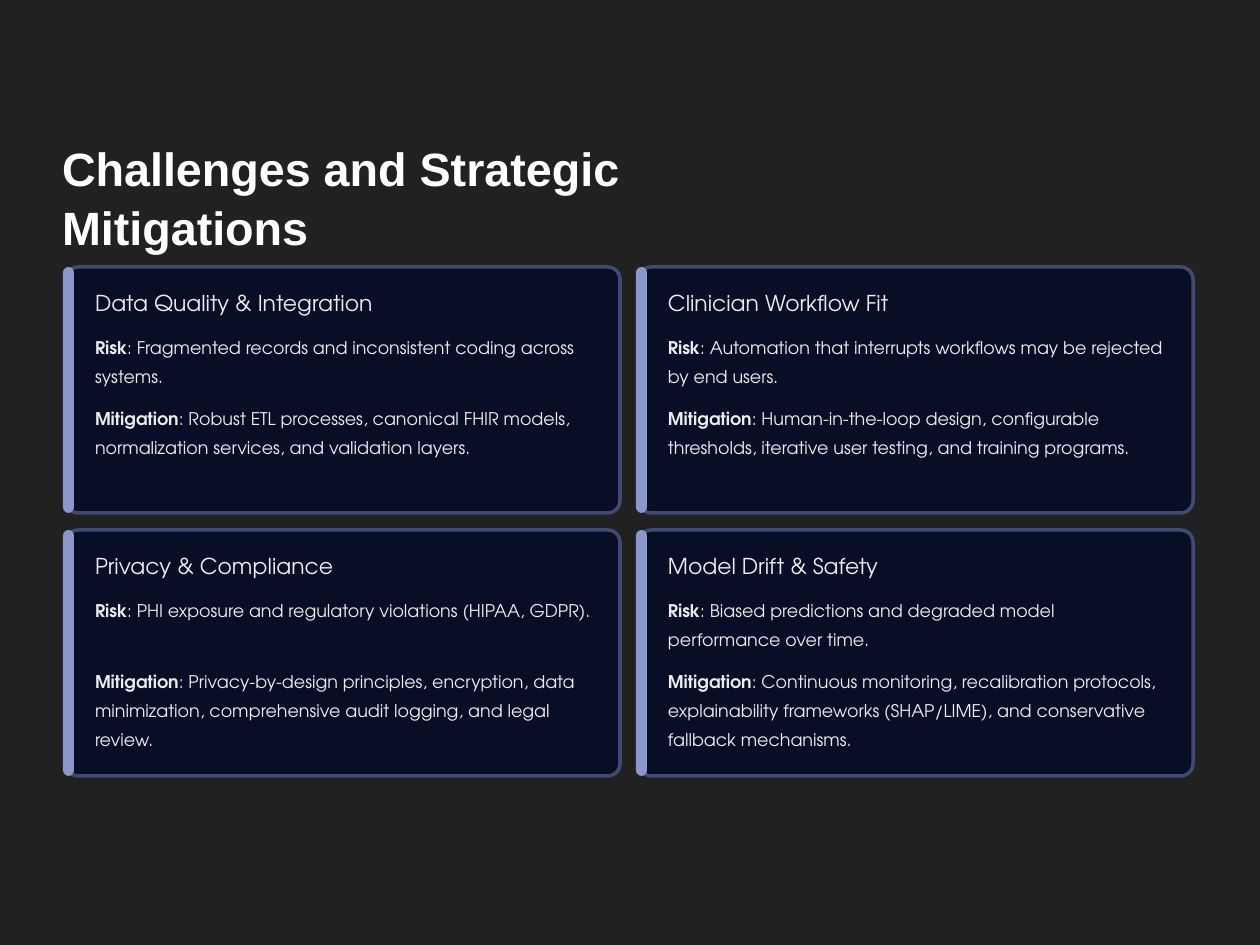
"""Build the slide on challenges and strategic mitigations."""
from pptx import Presentation
from pptx.dml.color import RGBColor
from pptx.enum.shapes import MSO_SHAPE
from pptx.enum.text import MSO_ANCHOR, MSO_AUTO_SIZE, PP_ALIGN
from pptx.util import Pt

PX = 914400 // 105
COLORS = {"bg": "212121", "title": "FFFFFF", "card": "080E26",
          "border": "414A70", "bar": "8C98CA", "text": "EBECEF"}
BODY_FONT = "TeX Gyre Adventor"
CARDS = [
    ("Data Quality & Integration",
     "Fragmented records and inconsistent coding across systems.",
     "Robust ETL processes, canonical FHIR models, normalization services, "
     "and validation layers."),
    ("Clinician Workflow Fit",
     "Automation that interrupts workflows may be rejected by end users.",
     "Human-in-the-loop design, configurable thresholds, iterative user "
     "testing, and training programs."),
    ("Privacy & Compliance",
     "PHI exposure and regulatory violations (HIPAA, GDPR).",
     "Privacy-by-design principles, encryption, data minimization, "
     "comprehensive audit logging, and legal review."),
    ("Model Drift & Safety",
     "Biased predictions and degraded model performance over time.",
     "Continuous monitoring, recalibration protocols, explainability "
     "frameworks (SHAP/LIME), and conservative fallback mechanisms."),
]


def write(sp, text, label="", size=12, spacing=20, font=BODY_FONT,
          color="text", bold=False, wrap=True):
    tf = sp.text_frame
    tf.margin_left = tf.margin_top = tf.margin_right = tf.margin_bottom = 0
    tf.word_wrap = wrap
    tf.auto_size = MSO_AUTO_SIZE.SHAPE_TO_FIT_TEXT
    tf.vertical_anchor = MSO_ANCHOR.TOP
    p = tf.paragraphs[0]
    p.alignment = PP_ALIGN.LEFT
    p.line_spacing = Pt(spacing)
    for part, strong in ((label, True), (text, bold)):
        if part:
            r = p.add_run()
            r.text = part
            r.font.name = font
            r.font.size = Pt(size)
            r.font.bold = strong
            r.font.color.rgb = RGBColor.from_string(COLORS[color])


def add_panel(s, x, y, w, h, fill, radius):
    sp = s.shapes.add_shape(MSO_SHAPE.ROUNDED_RECTANGLE,
                            x * PX, y * PX, w * PX, h * PX)
    sp.adjustments[0] = radius
    sp.shadow.inherit = False
    sp.fill.solid()
    sp.fill.fore_color.rgb = RGBColor.from_string(COLORS[fill])
    sp.line.fill.background()
    return sp


prs = Presentation()
prs.slide_width, prs.slide_height = 1260 * PX, 945 * PX
s = prs.slides.add_slide(prs.slide_layouts[5])
s.background.fill.solid()
s.background.fill.fore_color.rgb = RGBColor.from_string(COLORS["bg"])

title = s.shapes.title
title.left, title.top, title.width, title.height = 62 * PX, 138 * PX, 800 * PX, 117 * PX
write(title, "Challenges and Strategic Mitigations", size=32, spacing=40,
      font="Arial", color="title", bold=True)

for i, (heading, risk, mitigation) in enumerate(CARDS):
    row, col = divmod(i, 2)
    x, y = 63 + col * 573, 267 + row * 263
    card = add_panel(s, x + 3, y, 554, 246, "card", 0.05)
    card.line.color.rgb = RGBColor.from_string(COLORS["border"])
    card.line.width = Pt(2.4)
    add_panel(s, x, y, 11, 246, "bar", 0.5)
    for dy, h, text, style in (
            (21, 27, heading, {"size": 15, "spacing": 19, "wrap": False}),
            (62, 57, f": {risk}", {"label": "Risk"}),
            (133, 85, f": {mitigation}", {"label": "Mitigation"})):
        box = s.shapes.add_textbox((x + 32) * PX, (y + dy) * PX, 504 * PX, h * PX)
        write(box, text, **style)

prs.save("out.pptx")
